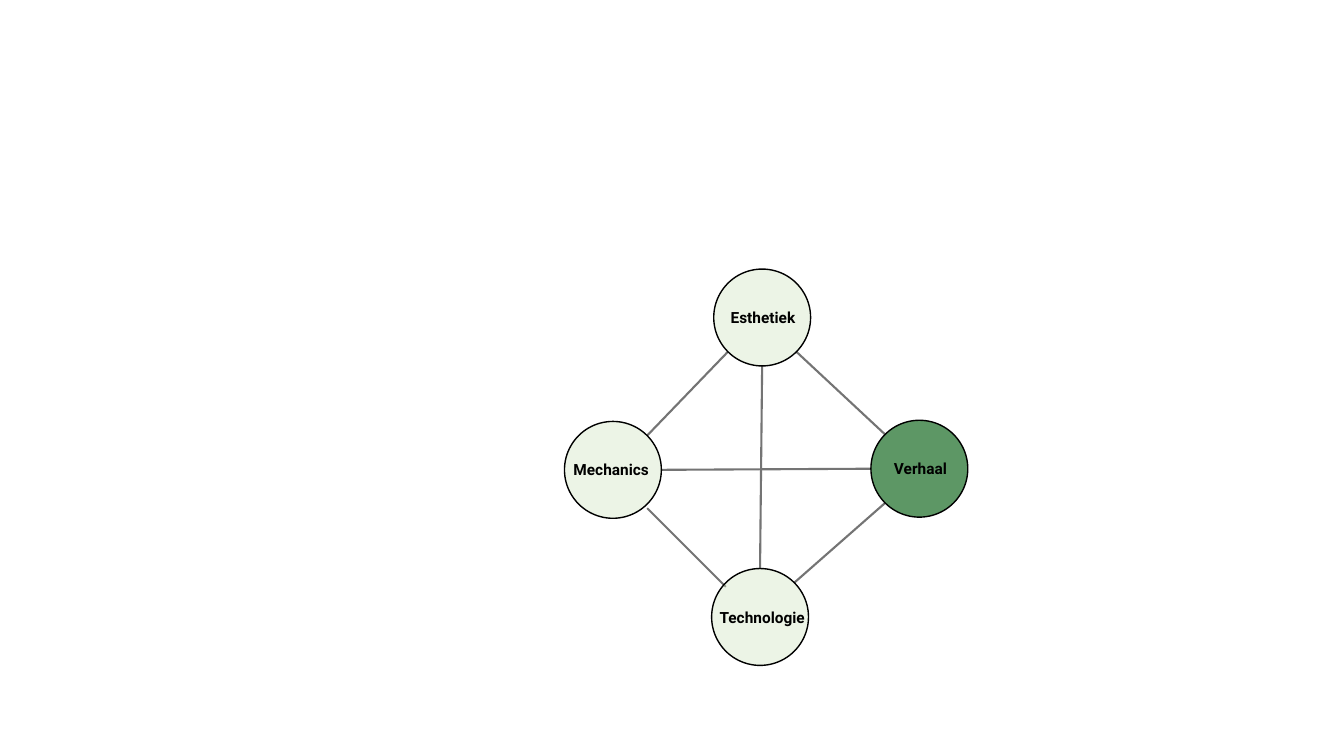
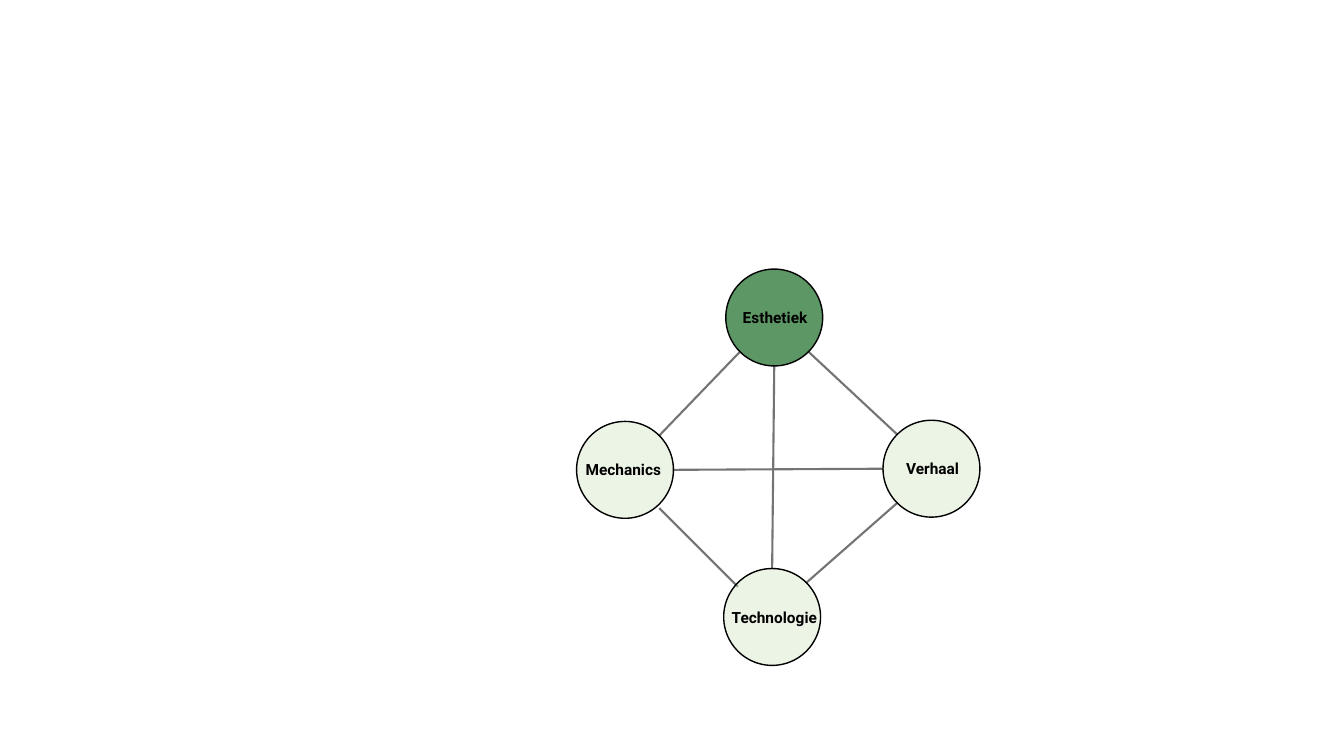
from math import cos, radians, sin

from lxml.etree import SubElement
from pptx import Presentation
from pptx.dml.color import RGBColor
from pptx.enum.shapes import MSO_CONNECTOR as Connector, MSO_SHAPE as Shape
from pptx.enum.text import MSO_AUTO_SIZE as AutoSize
from pptx.oxml.ns import qn
from pptx.util import Pt

# Highlighted element and horizontal shift of the diagram, per slide
PAGES = [("Verhaal", 0), ("Esthetiek", 8.64)]

# Circle left and top, label indent from the circle, label width
NODES = {
    "Technologie": (508.3, 406.1, -1.4, 144),
    "Mechanics": (403.2, 301, -0.7, 72.7),
    "Esthetiek": (509.8, 192.2, 5, 144),
    "Verhaal": (622.1, 300.2, 9.4, 144),
}
# Start, end, clockwise angle at which the line leaves the start, drop
LINKS = [
    ("Esthetiek", "Mechanics", 135, 0),
    ("Esthetiek", "Verhaal", 45, 0),
    ("Esthetiek", "Technologie", 90, 0),
    ("Mechanics", "Verhaal", 0, 0),
    ("Mechanics", "Technologie", 45, 2.9),
    ("Verhaal", "Technologie", 135, 0),
]

DIAMETER = 69.2
LABEL_DROP = 24.4
LABEL_HEIGHT = 20.9
FONT = "Roboto"
BLACK = RGBColor(0x00, 0x00, 0x00)
GREY = RGBColor(0x74, 0x74, 0x74)
PALE_GREEN = RGBColor(0xD0, 0xE5, 0xC1)
DARK_GREEN = RGBColor(0x19, 0x6B, 0x24)
NORMAL = (PALE_GREEN, 40)
HIGHLIGHT = (DARK_GREEN, 70)


def rim_point(name, angle):
    """Point on the circle's edge, with angles clockwise from the right."""
    left, top = NODES[name][:2]
    radius = DIAMETER / 2
    return (left + radius * (1 + cos(radians(angle))),
            top + radius * (1 + sin(radians(angle))))


def add_link(page, start, end, angle, drop, shift):
    x1, y1 = rim_point(start, angle)
    x2, y2 = rim_point(end, angle + 180)
    link = page.shapes.add_connector(
        Connector.STRAIGHT, Pt(x1 + shift), Pt(y1 + drop),
        Pt(x2 + shift), Pt(y2 + drop))
    link.line.color.rgb = GREY
    link.line.width = Pt(1.5)
    SubElement(link._element.spPr, qn("a:effectLst"))


def add_circle(page, left, top, color, opacity):
    circle = page.shapes.add_shape(
        Shape.OVAL, Pt(left), Pt(top), Pt(DIAMETER), Pt(DIAMETER))
    circle.shadow.inherit = False
    circle.fill.solid()
    circle.fill.fore_color.rgb = color
    fill_color = circle._element.spPr.find(qn("a:solidFill"))[0]
    SubElement(fill_color, qn("a:alpha"), val=str(opacity * 1000))
    circle.line.color.rgb = BLACK
    circle.line.width = Pt(1)


def add_label(page, text, left, top, width):
    box = page.shapes.add_textbox(
        Pt(left), Pt(top), Pt(width), Pt(LABEL_HEIGHT))
    frame = box.text_frame
    frame.word_wrap = True
    frame.auto_size = AutoSize.SHAPE_TO_FIT_TEXT
    span = frame.paragraphs[0].add_run()
    span.text = text
    span.font.name = FONT
    span.font.size = Pt(11)
    span.font.bold = True
    span.font.color.rgb = BLACK


def add_diagram(page, highlighted, shift):
    for link in LINKS:
        add_link(page, *link, shift)
    for name, (left, top, indent, width) in NODES.items():
        style = HIGHLIGHT if name == highlighted else NORMAL
        add_circle(page, left + shift, top, *style)
        add_label(page, name, left + shift + indent, top + LABEL_DROP, width)


def main():
    deck = Presentation()
    deck.slide_width, deck.slide_height = Pt(960), Pt(540)
    blank = deck.slide_layouts[6]
    for highlighted, shift in PAGES:
        add_diagram(deck.slides.add_slide(blank), highlighted, shift)
    deck.save("out.pptx")


if __name__ == "__main__":
    main()
